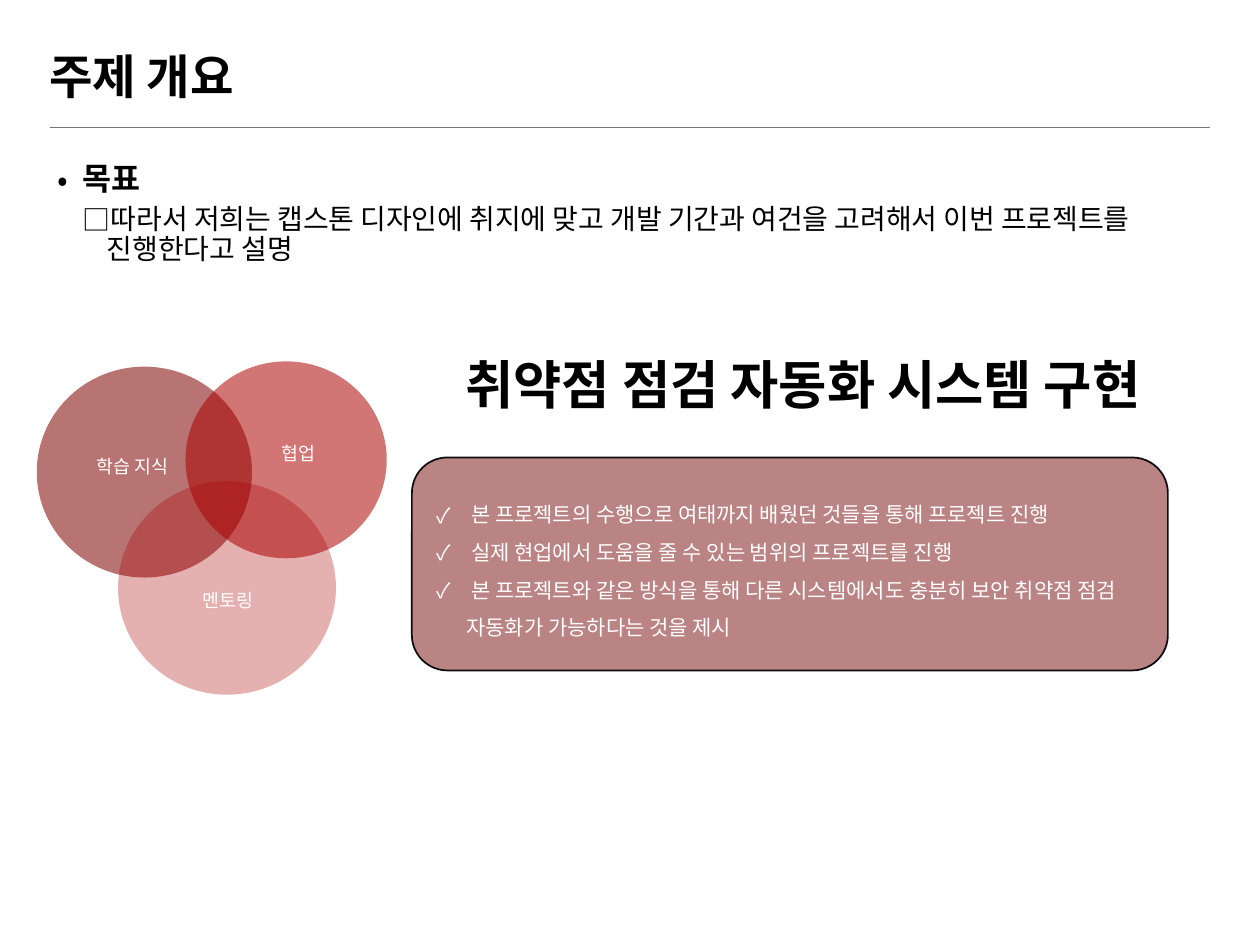
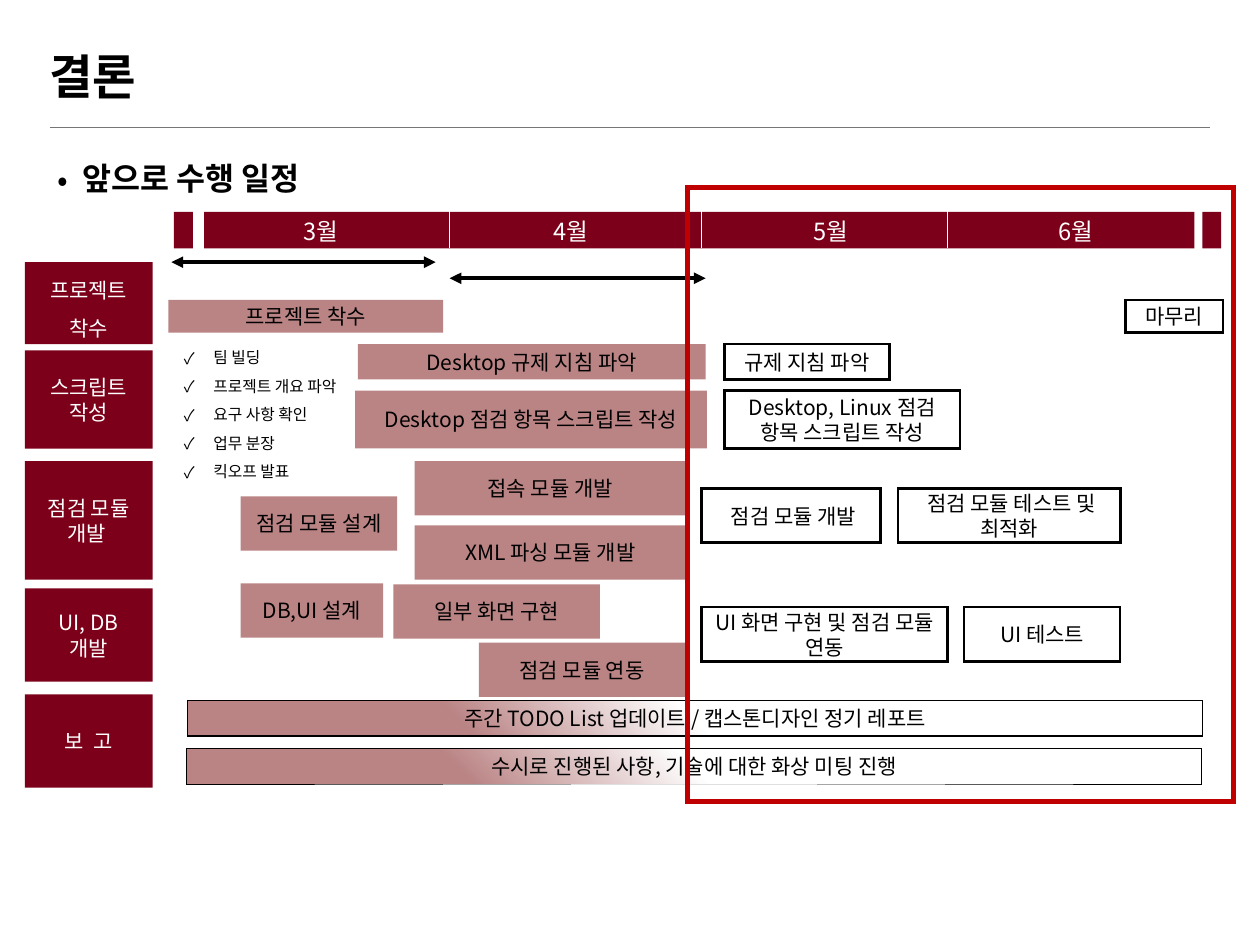
from lxml import etree
from pptx import Presentation
from pptx.dml.color import RGBColor
from pptx.enum import shapes, text
from pptx.oxml import parse_xml
from pptx.oxml.ns import nsdecls, qn
from pptx.util import Pt

COLORS = {
    "black": "000000", "white": "FFFFFF", "rule": "767676", "outline": "0D0D0D",
    "rose": "BA8384", "wine": "7C0019", "frame": "C00000",
    "knowledge": "7E0000", "teamwork": "AC0000", "mentoring": "A80000",
}
BODY_FONT = "Noto Sans CJK KR"
TITLE_FONT = "Arial"
BODY_BOX = (26, 85, 673, 425)

# Boxes are (left, top, width, height) in points.
OVERVIEW_TITLE = "주제 개요"
OVERVIEW_HEADING = "목표"
OVERVIEW_DETAIL = ("따라서 저희는 캡스톤 디자인에 취지에 맞고 개발 기간과 여건을 고려해서 "
                   "이번 프로젝트를 진행한다고 설명")
TOPIC = "취약점 점검 자동화 시스템 구현"
REASONS = [
    " 본 프로젝트의 수행으로 여태까지 배웠던 것들을 통해 프로젝트 진행",
    " 실제 현업에서 도움을 줄 수 있는 범위의 프로젝트를 진행",
    " 본 프로젝트와 같은 방식을 통해 다른 시스템에서도 충분히 보안 취약점 점검 "
    "자동화가 가능하다는 것을 제시",
]
# color, opacity in percent, circle box, label, label box
VENN = [
    ("knowledge", 55, (21, 209.5, 123, 120.5), "학습 지식", (48.2, 256.3, 58.3, 20)),
    ("teamwork", 54, (106, 206.5, 115, 112.5), "협업", (154, 249, 34.6, 20)),
    ("mentoring", 31, (67.5, 275, 124.5, 122), "멘토링", (108.7, 333.4, 44.6, 20)),
]

SCHEDULE_TITLE = "결론"
SCHEDULE_HEADING = "앞으로 수행 일정"
MONTHS = [("3월", 166.3), ("4월", 309), ("5월", 458), ("6월", 597.6)]
MONTH_DIVIDERS = [257, 401, 541.4]
HEADER_TOP, HEADER_HEIGHT = 121, 21
HEADER_BANDS = [(99.4, 10.8), (116.6, 566), (687, 10.8)]  # left, width
PERIODS = [(98, 249, 149.8), (257, 403.2, 159)]  # start, end, height on the slide
PHASE_LEFT, PHASE_WIDTH = 14.2, 73
PHASES = [  # lines, top, height, line spacing
    (["프로젝트", "착수"], 149.8, 46.8, 1.5),
    (["스크립트", "작성"], 200.2, 56.2, 1),
    (["점검 모듈", "개발 "], 263.5, 67.7, 1),
    (["UI, DB", "개발"], 336.3, 53.3, 1),
    (["보  고"], 396.8, 53.3, 1),
]
KICKOFF = ["팀 빌딩", "프로젝트 개요 파악", "요구 사항 확인", "업무 분장", "킥오프 발표"]
FINISHED = [
    (["프로젝트 착수"], (96.2, 171.4, 157, 18.7)),
    (["Desktop 규제 지침 파악"], (204.5, 196.6, 198.7, 20.2)),
    (["Desktop 점검 항목 스크립트 작성"], (203, 223.2, 201, 33.1)),
    (["접속 모듈 개발"], (237, 263.5, 155, 31)),
    (["XML 파싱 모듈 개발"], (237, 300.2, 155, 31)),
    (["DB,UI 설계"], (137.5, 333.4, 81.4, 31)),
    (["점검 모듈 설계"], (137.5, 283.7, 89.5, 31)),
    (["일부 화면 구현"], (224.8, 334, 118, 31)),
    (["점검 모듈 연동"], (273.6, 367.2, 118, 31)),
]
REMAINING = [
    (["규제 지침 파악"], (414, 196.6, 94.3, 20.2)),
    (["Desktop, Linux 점검 항목 스크립트 작성"], (414, 223.2, 134.6, 33.1)),
    ([" 점검 모듈 개발"], (401, 279.2, 102.2, 31)),
    ([" 점검 모듈 테스트 및", "최적화"], (513.2, 279.2, 127, 31)),
    (["UI 화면 구현 및 점검 모듈 연동"], (401, 347, 140.4, 31)),
    (["UI 테스트"], (550.8, 347, 89.3, 31)),
    (["마무리"], (643, 171.4, 55.8, 18.7)),
]
REPORTS = [  # text, box, line width
    ("주간 TODO List 업데이트 / 캡스톤디자인 정기 레포트", (107.2, 400.3, 580, 20.2), 0.75),
    ("수시로 진행된 사항, 기술에 대한 화상 미팅 진행", (106.6, 427.7, 580, 20.2), 0.25),
]
REMAINING_FRAME = (393, 107.3, 312, 350.6)

GRADIENT = f"""<a:gradFill {nsdecls('a')} rotWithShape="1"><a:gsLst>
<a:gs pos="27000"><a:srgbClr val="{COLORS['rose']}"/></a:gs>
<a:gs pos="50000"><a:srgbClr val="{COLORS['white']}"/></a:gs></a:gsLst>
<a:path path="circle"><a:fillToRect t="100000" r="100000"/></a:path></a:gradFill>"""


def rgb(name):
    return RGBColor.from_string(COLORS[name])


def points(box):
    return [Pt(value) for value in box]


def write(frame, lines, size, color="black", font=BODY_FONT, bold=False, align=None,
          spacing=1, bullet=None, indent=0, hanging=0, before=0):
    """Add lines to a text frame; the first one fills its empty paragraph."""
    for line in lines:
        first = not frame.text
        paragraph = frame.paragraphs[0] if first else frame.add_paragraph()
        paragraph.text = line
        paragraph.line_spacing = spacing
        if align:
            paragraph.alignment = align
        if before and not first:
            paragraph.space_before = Pt(before)
        properties = paragraph._p.get_or_add_pPr()
        if bullet:
            properties.set("marL", str(Pt(indent)))
            properties.set("indent", str(-Pt(hanging)))
            etree.SubElement(properties, qn("a:buFont")).set("typeface", BODY_FONT)
            etree.SubElement(properties, qn("a:buChar")).set("char", bullet)
        paragraph.font.size = Pt(size)
        paragraph.font.bold = bold
        paragraph.font.color.rgb = rgb(color)
        paragraph.font.name = font
        east_asian = etree.SubElement(properties.find(qn("a:defRPr")), qn("a:ea"))
        east_asian.set("typeface", BODY_FONT)


def add_text(slide, box, lines, size, anchor=text.MSO_ANCHOR.TOP, wrap=True, **style):
    frame = slide.shapes.add_textbox(*points(box)).text_frame
    frame.word_wrap = wrap
    frame.vertical_anchor = anchor
    write(frame, lines, size, **style)
    return frame


def add_box(slide, box, fill=None, line=None, line_width=1.0, lines=(), color="black",
            spacing=1, kind=shapes.MSO_SHAPE.RECTANGLE):
    shape = slide.shapes.add_shape(kind, *points(box))
    shape.shadow.inherit = False
    if fill:
        shape.fill.solid()
        shape.fill.fore_color.rgb = rgb(fill)
    else:
        shape.fill.background()
    if line:
        shape.line.color.rgb = rgb(line)
        shape.line.width = Pt(line_width)
        etree.SubElement(shape.line._get_or_add_ln(), qn("a:miter")).set("lim", "800000")
    else:
        shape.line.fill.background()
    shape.text_frame.vertical_anchor = text.MSO_ANCHOR.MIDDLE
    write(shape.text_frame, lines, 12, color, align=text.PP_ALIGN.CENTER, spacing=spacing)
    return shape


def add_line(slide, start, end, color, width, arrows=False):
    connector = slide.shapes.add_connector(
        shapes.MSO_CONNECTOR.STRAIGHT, *points(start + end))
    connector.line.color.rgb = rgb(color)
    connector.line.width = Pt(width)
    if arrows:
        for tag in ("a:headEnd", "a:tailEnd"):
            etree.SubElement(connector.line._get_or_add_ln(), qn(tag)).set("type", "triangle")
    etree.SubElement(connector._element.spPr, qn("a:effectLst"))


def add_slide(presentation, title, heading):
    """Return a new slide with title, rule and heading, and the heading's text frame."""
    slide = presentation.slides.add_slide(presentation.slide_layouts[6])
    add_line(slide, (28.3, 73), (691.7, 73), "rule", 0.5)
    add_text(slide, (21, 18, 677.5, 54.7), [title], 27, text.MSO_ANCHOR.MIDDLE,
             font=TITLE_FONT, bold=True, spacing=0.9)
    body = add_text(slide, BODY_BOX, [heading], 18, bold=True, spacing=1.1,
                    bullet="•", indent=14.2, hanging=14.2)
    return slide, body


def add_overview(presentation):
    slide, body = add_slide(presentation, OVERVIEW_TITLE, OVERVIEW_HEADING)
    write(body, [OVERVIEW_DETAIL], 16, spacing=0.9, bullet="□", indent=28,
          hanging=13.7, before=5)
    body.paragraphs[1].level = 1
    add_text(slide, (246.2, 198, 425.5, 46.8), [TOPIC], 30, text.MSO_ANCHOR.MIDDLE,
             bold=True, align=text.PP_ALIGN.CENTER, spacing=0.9)
    add_box(slide, (235.4, 261.4, 432, 121.7), "rose", "outline",
            kind=shapes.MSO_SHAPE.ROUNDED_RECTANGLE)
    add_text(slide, (242.6, 275.8, 422, 92.2), REASONS, 12, color="white", spacing=1.5,
             bullet="✓", indent=16.8, hanging=16.8)
    for color, opacity, circle_box, *_ in VENN:
        circle = add_box(slide, circle_box, color, kind=shapes.MSO_SHAPE.OVAL)
        fill_color = circle._element.spPr.find(qn("a:solidFill"))[0]
        etree.SubElement(fill_color, qn("a:alpha")).set("val", str(opacity * 1000))
    for *_, label, label_box in VENN:
        add_text(slide, label_box, [label], 10.5, wrap=False, color="white")


def add_schedule(presentation):
    slide, _ = add_slide(presentation, SCHEDULE_TITLE, SCHEDULE_HEADING)
    for left, width in HEADER_BANDS:
        add_box(slide, (left, HEADER_TOP, width, HEADER_HEIGHT), "wine")
    for month, left in MONTHS:
        add_text(slide, (left, 120.2, 46, 23.8), [month], 13.5, color="white")
    for x in MONTH_DIVIDERS:
        add_line(slide, (x, 119.5), (x, 142), "white", 0.5)
    for start, end, y in PERIODS:
        add_line(slide, (start, y), (end, y), "black", 2.25, arrows=True)
    add_text(slide, (98, 190, 108, 87), KICKOFF, 9, spacing=1.5,
             bullet="✓", indent=16.8, hanging=16.8)
    for lines, top, height, spacing in PHASES:
        add_box(slide, (PHASE_LEFT, top, PHASE_WIDTH, height), "wine", lines=lines,
                color="white", spacing=spacing)
    for lines, box in FINISHED:
        add_box(slide, box, "rose", lines=lines)
    for lines, box in REMAINING:
        add_box(slide, box, line="black", line_width=1.5, lines=lines)
    for line, box, line_width in REPORTS:
        report = add_box(slide, box, line="black", line_width=line_width, lines=[line])
        properties = report._element.spPr
        properties.replace(properties.find(qn("a:noFill")), parse_xml(GRADIENT))
    add_box(slide, REMAINING_FRAME, line="frame", line_width=3)


def main():
    presentation = Presentation()
    presentation.slide_width, presentation.slide_height = Pt(720), Pt(540)
    add_overview(presentation)
    add_schedule(presentation)
    presentation.save("out.pptx")


if __name__ == "__main__":
    main()
